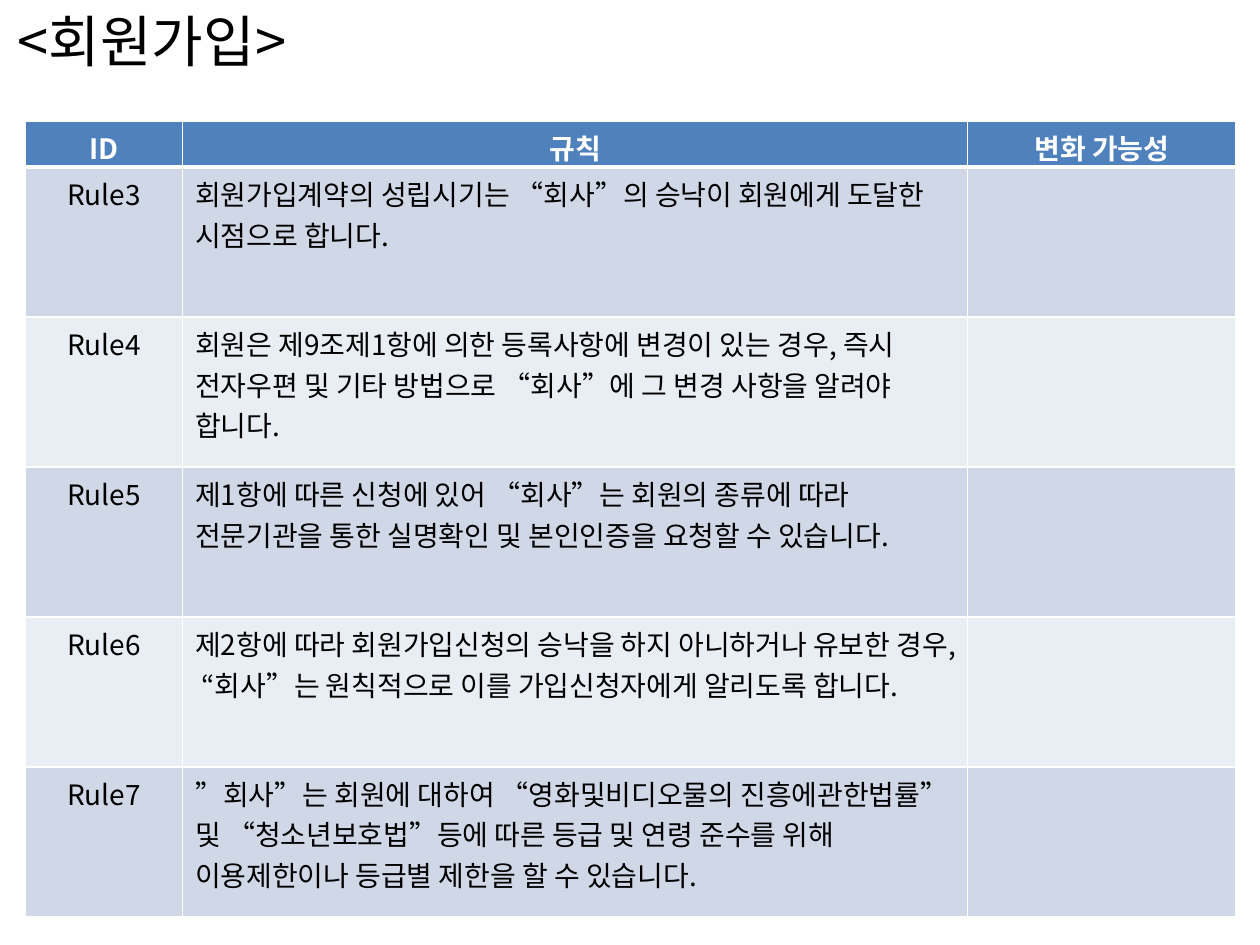
from dataclasses import dataclass

from lxml.etree import SubElement
from pptx import Presentation
from pptx.dml.color import RGBColor
from pptx.enum.text import MSO_ANCHOR, MSO_AUTO_SIZE, PP_ALIGN
from pptx.oxml import parse_xml
from pptx.oxml.ns import nsdecls, qn
from pptx.util import Pt


@dataclass(frozen=True)
class Theme:
    font: str = "Noto Sans CJK KR"
    title_size: int = 32
    body_size: int = 16
    text: str = "000000"
    header_text: str = "FFFFFF"
    header_fill: str = "4F81BD"
    bands: tuple = ("D0D8E8", "E9EDF4")
    border: str = "FFFFFF"
    border_width: int = 1
    header_rule: int = 3


HEADERS = ["ID", "규칙", "변화 가능성"]
RULES = [
    ("Rule3", "회원가입계약의 성립시기는 “회사”의 승낙이 회원에게 도달한 시점으로 합니다."),
    ("Rule4", "회원은 제9조제1항에 의한 등록사항에 변경이 있는 경우, 즉시 전자우편 및 기타 방법으로 “회사”에 그 변경 사항을 알려야 합니다."),
    ("Rule5", "제1항에 따른 신청에 있어 “회사”는 회원의 종류에 따라 전문기관을 통한 실명확인 및 본인인증을 요청할 수 있습니다."),
    ("Rule6", "제2항에 따라 회원가입신청의 승낙을 하지 아니하거나 유보한 경우, “회사”는 원칙적으로 이를 가입신청자에게 알리도록 합니다."),
    ("Rule7", "”회사”는 회원에 대하여 “영화및비디오물의 진흥에관한법률” 및 “청소년보호법”등에 따른 등급 및 연령 준수를 위해 이용제한이나 등급별 제한을 할 수 있습니다."),
]
COLUMN_WIDTHS = [90, 448.5, 153.4]
HEADER_HEIGHT = 25.2
RULE_HEIGHT = 85.7


class SlideBuilder:
    def __init__(self, s, theme):
        self.s = s
        self.theme = theme

    def style(self, p, size, color, bold=False, align=PP_ALIGN.LEFT):
        p.alignment = align
        for r in p.runs:
            r.font.name = self.theme.font
            r.font.size = Pt(size)
            r.font.bold = bold
            r.font.color.rgb = RGBColor.from_string(color)
            SubElement(r.font._element, qn("a:ea"), typeface=self.theme.font)

    def title(self, text, left, top, width, height):
        sp = self.s.shapes.title
        sp.left, sp.top, sp.width, sp.height = map(Pt, (left, top, width, height))
        tf = sp.text_frame
        tf.text = text
        tf.word_wrap = False
        tf.auto_size = MSO_AUTO_SIZE.SHAPE_TO_FIT_TEXT
        tf.vertical_anchor = MSO_ANCHOR.TOP
        self.style(tf.paragraphs[0], self.theme.title_size, self.theme.text)

    def borders(self, cell, bottom):
        tc_pr = cell._tc.get_or_add_tcPr()
        thin = self.theme.border_width
        widths = {"lnL": thin, "lnR": thin, "lnT": thin, "lnB": bottom}
        for i, (tag, width) in enumerate(widths.items()):
            tc_pr.insert(i, parse_xml(
                f'<a:{tag} {nsdecls("a")} w="{Pt(width)}"><a:solidFill>'
                f'<a:srgbClr val="{self.theme.border}"/></a:solidFill></a:{tag}>'))

    def cell(self, cell, text, fill, color, header, align):
        cell.fill.solid()
        cell.fill.fore_color.rgb = RGBColor.from_string(fill)
        cell.vertical_anchor = MSO_ANCHOR.MIDDLE if header else MSO_ANCHOR.TOP
        self.borders(cell, self.theme.header_rule if header else self.theme.border_width)
        cell.text_frame.text = text
        p = cell.text_frame.paragraphs[0]
        p.font.size = Pt(self.theme.body_size)
        self.style(p, self.theme.body_size, color, header, align)

    def table(self, rows, left, top, widths, heights):
        theme = self.theme
        frame = self.s.shapes.add_table(
            len(rows), len(widths), Pt(left), Pt(top), Pt(sum(widths)), Pt(sum(heights)))
        table = frame.table
        for column, width in zip(table.columns, widths):
            column.width = Pt(width)
        for i, (row, height) in enumerate(zip(rows, heights)):
            table.rows[i].height = Pt(height)
            header = i == 0
            fill = theme.header_fill if header else theme.bands[(i - 1) % 2]
            color = theme.header_text if header else theme.text
            for j, text in enumerate(row):
                align = PP_ALIGN.CENTER if header or j == 0 else PP_ALIGN.LEFT
                self.cell(table.cell(i, j), text, fill, color, header, align)


def main():
    prs = Presentation()
    prs.slide_width, prs.slide_height = Pt(720), Pt(540)
    s = prs.slides.add_slide(prs.slide_layouts[5])
    builder = SlideBuilder(s, Theme())
    builder.title("<회원가입>", 2.9, 0, 184.3, 46)
    rows = [HEADERS] + [(rule_id, rule, "") for rule_id, rule in RULES]
    heights = [HEADER_HEIGHT] + [RULE_HEIGHT] * len(RULES)
    builder.table(rows, 14.4, 69.1, COLUMN_WIDTHS, heights)
    prs.save("out.pptx")


if __name__ == "__main__":
    main()
